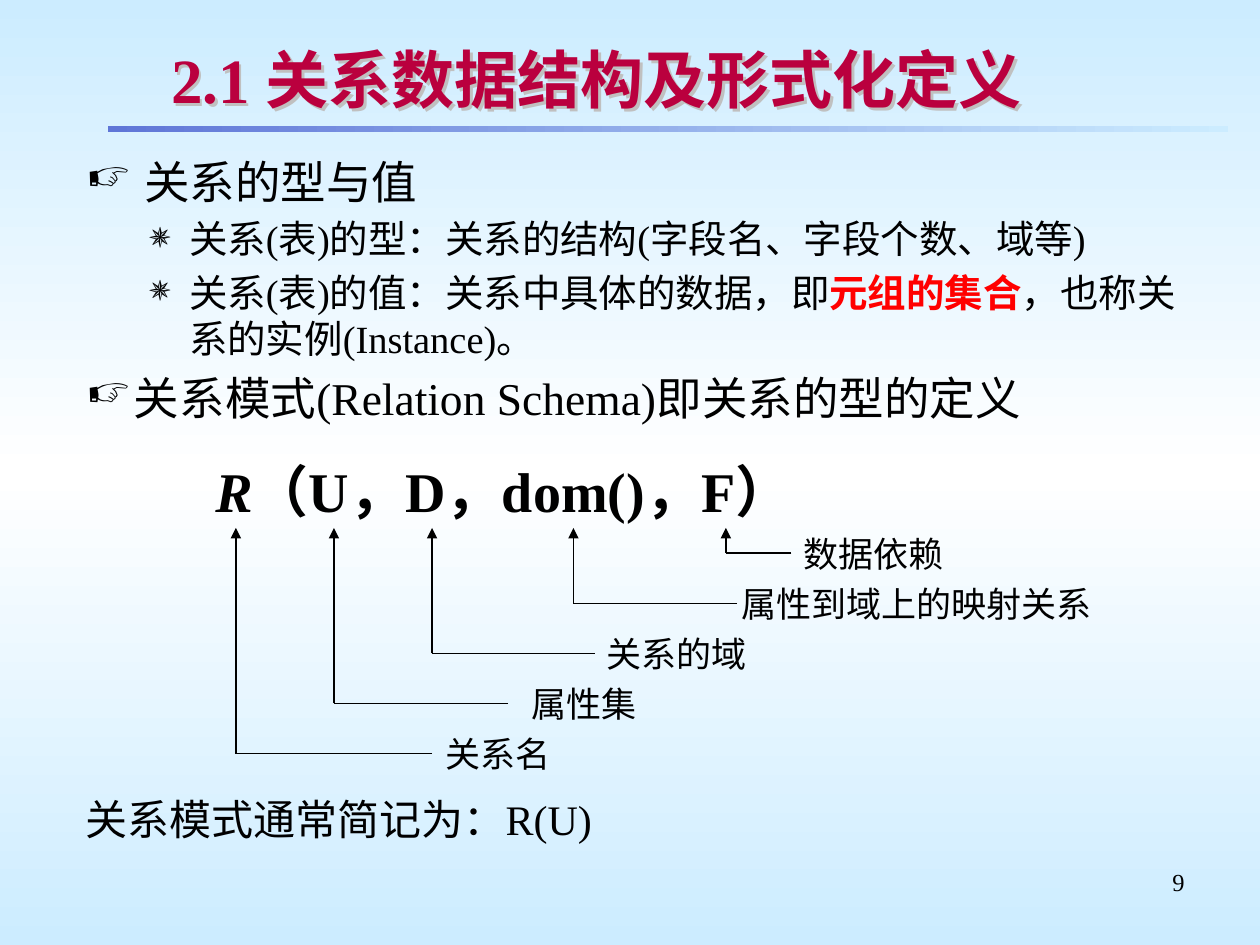
from copy import deepcopy

from lxml.etree import SubElement as Sub
from pptx import Presentation
from pptx.dml.color import RGBColor
from pptx.enum.shapes import MSO_CONNECTOR as Conn, MSO_SHAPE as Shape
from pptx.enum.text import MSO_ANCHOR as Anchor, PP_ALIGN as Align
from pptx.oxml.ns import qn
from pptx.util import Pt

BLACK, RED, CRIMSON, SKY = "000000", "FF0000", "BA003E", "CCECFF"


def color(code):
    return RGBColor.from_string(code)


def blend(owner, fill, codes, angle):
    """Fill with evenly spaced gradient stops."""
    fill.gradient()
    fill.gradient_angle = angle
    stops = owner.element.find(".//" + qn("a:gsLst"))
    for _ in codes[2:]:
        stops.append(deepcopy(stops[-1]))
    for i, (stop, code) in enumerate(zip(fill.gradient_stops, codes)):
        stop.color.rgb = color(code)
        stop.position = i / (len(codes) - 1)


class Deck:
    """Text style and the current slide."""

    face = "Times New Roman"

    def __init__(self, prs):
        self.slide = prs.slides.add_slide(prs.slide_layouts[6])
        self.shapes = self.slide.shapes

    def back(self, codes):
        blend(self.slide, self.slide.background.fill, codes, 90)

    def bar(self, x, y, w, h, codes):
        bar = self.shapes.add_shape(Shape.RECTANGLE, Pt(x), Pt(y), Pt(w), Pt(h))
        bar.shadow.inherit = False
        bar.line.fill.background()
        blend(bar, bar.fill, codes, 0)

    def box(self, x, y, w, h, anchor=Anchor.TOP, inset=7.2):
        box = self.shapes.add_textbox(Pt(x), Pt(y), Pt(w), Pt(h))
        frame = box.text_frame
        frame.word_wrap = True
        frame.vertical_anchor = anchor
        frame.margin_left = frame.margin_right = Pt(inset)
        return box

    def para(self, box, text, size, code=BLACK, bold=False, align=Align.LEFT,
             before=0, first=True):
        """Write one paragraph; text is a string or a list of strings."""
        frame = box.text_frame
        para = frame.paragraphs[0] if first else frame.add_paragraph()
        para.alignment, para.space_before = align, Pt(before)
        font = para.font
        font.name, font.size, font.bold = self.face, Pt(size), bold
        font.color.rgb = color(code)
        for part in [text] if isinstance(text, str) else text:
            para.add_run().text = part
        return para

    def indent(self, para, left, hang):
        props = para._p.get_or_add_pPr()
        props.set("marL", str(Pt(left)))
        props.set("indent", str(-Pt(hang)))
        return props

    def bullet(self, para, char, left, hang):
        props = self.indent(para, left, hang)
        tint = Sub(props, qn("a:buClr"))
        Sub(tint, qn("a:srgbClr"), val=BLACK)
        size = Sub(props, qn("a:buSzPct"), val="95000")
        mark = Sub(props, qn("a:buChar"), char=char)
        for node in (tint, size, mark):
            props.find(qn("a:defRPr")).addprevious(node)

    def shade(self, box):
        """Put a drop shadow behind the text of an unfilled box."""
        drop = Sub(Sub(box.element.spPr, qn("a:effectLst")), qn("a:outerShdw"),
                   dist=str(Pt(2)), dir="2700000")
        Sub(drop, qn("a:srgbClr"), val="C0C0C0")

    def line(self, x1, y1, x2, y2, arrow=False):
        line = self.shapes.add_connector(Conn.STRAIGHT, Pt(x1), Pt(y1), Pt(x2), Pt(y2))
        line.line.color.rgb = color(BLACK)
        line.line.width = Pt(0.75)
        props = line.element.spPr
        if arrow:
            Sub(props.find(qn("a:ln")), qn("a:tailEnd"), type="triangle")
        Sub(props, qn("a:effectLst"))
        return line

    def label(self, text, x, y, h, tip, gap):
        """Name one part of the formula, with an elbow up to its tip."""
        box = self.box(x, y, 18.6 * len(text) + 19.2, h, Anchor.MIDDLE, 0)
        self.para(box, text, 20, align=Align.CENTER)
        mid = y + h / 2
        line = self.line(x - gap, mid, tip, mid)
        if not gap:
            line.begin_connect(box, 1)
        self.line(tip, mid, tip, TOP, arrow=True)


TOP, ROW = 301.7, 28.65
POINTS = [
    (0, "☞", " 关系的型与值"),
    (1, "✵", "关系(表)的型：关系的结构(字段名、字段个数、域等)"),
    (1, "✵", ["关系(表)的值：关系中具体的数据，即", "元组的集合",
              "，也称关系的实例(Instance)。"]),
    (0, "☞", "关系模式(Relation Schema)即关系的型的定义"),
]
LEVELS = [(26, 4.9, 27, 27), (22, 4.1, 58.5, 22.5)]  # size, before, left, hang
LABELS = [  # text, left, arrow tip, gap before text
    ("数据依赖", 452.2, 414.8, 0),
    ("属性到域上的映射关系", 421.2, 327.7, 0),
    ("关系的域", 340, 246.9, 0),
    ("属性集", 296.5, 190.8, 6.2),
    ("关系名", 246.9, 134.8, 0),
]


def main():
    prs = Presentation()
    prs.slide_width, prs.slide_height = Pt(720), Pt(540)
    deck = Deck(prs)
    deck.back([SKY, "FFFFFF", SKY])
    deck.bar(61.8, 72, 640, 3.6, ["5F76D7", SKY])

    number = deck.box(516, 492, 168, 37.5)
    deck.para(number, "9", 14, align=Align.RIGHT)

    title = deck.box(90.8, 21, 593, 48, Anchor.MIDDLE)
    deck.para(title, "2.1 关系数据结构及形式化定义", 36, CRIMSON, True)
    deck.shade(title)

    body = deck.box(42.5, 84.2, 648, 179)
    for i, (level, mark, text) in enumerate(POINTS):
        size, before, left, hang = LEVELS[level]
        para = deck.para(body, text, size, before=before, first=i == 0)
        para.level = level
        deck.bullet(para, mark, left, hang)
        if len(para.runs) > 1:
            key = para.runs[1].font
            key.bold, key.color.rgb = True, color(RED)

    for i, (text, x, tip, gap) in enumerate(LABELS):
        deck.label(text, x, TOP + i * ROW, ROW, tip, gap)

    schema = deck.box(116, 258.5, 440, 43.2, Anchor.MIDDLE)
    para = deck.para(schema, ["R", "（U，D，dom()，F）"], 32, bold=True, before=8)
    para.runs[0].font.italic = True

    note = deck.box(41.8, 450, 642, 36)
    para = deck.para(note, ["关系模式通常简记为：", "R(U)"], 24, before=6)
    para.runs[0].font.name = "Arial"
    deck.indent(para, 27, 27)

    prs.save("out.pptx")


if __name__ == "__main__":
    main()
